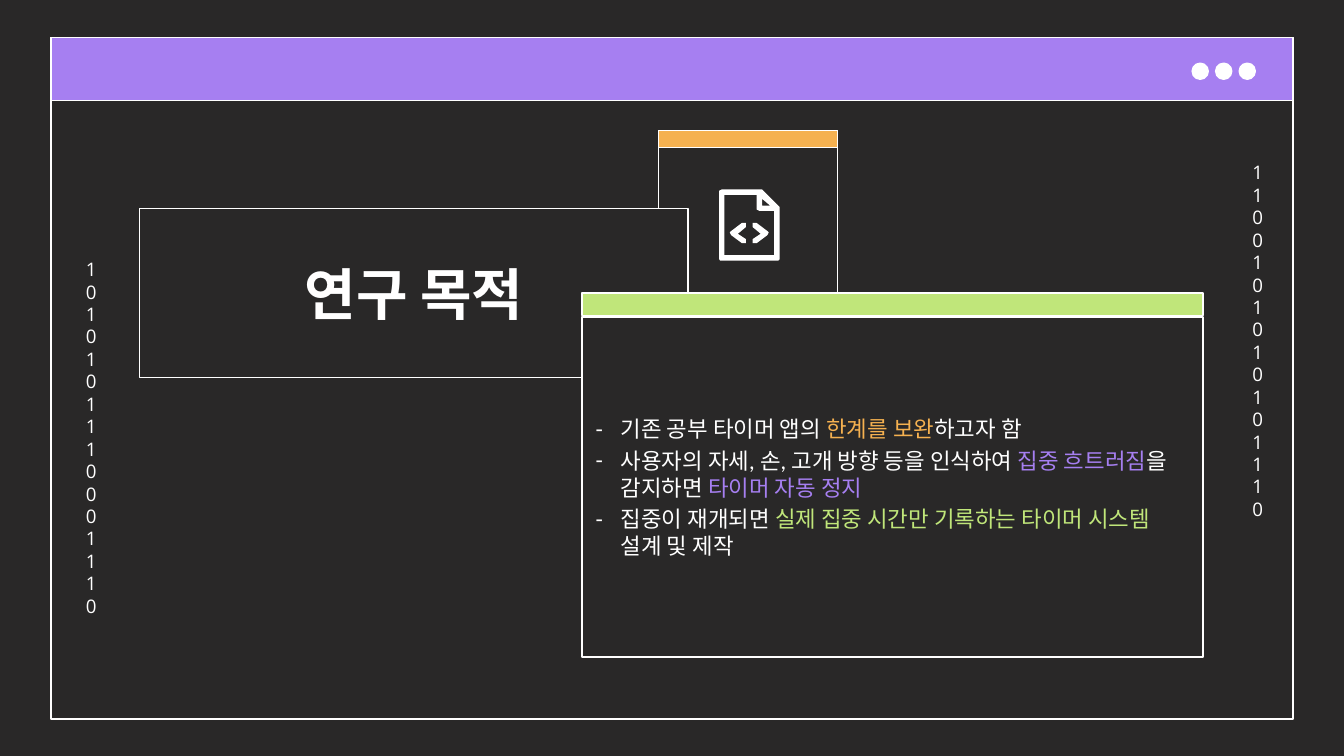
from lxml.etree import SubElement
from pptx import Presentation
from pptx.dml.color import RGBColor
from pptx.enum.shapes import MSO_SHAPE
from pptx.enum.text import MSO_ANCHOR, MSO_AUTO_SIZE, PP_ALIGN
from pptx.oxml.ns import qn
from pptx.util import Inches, Pt

DARK = RGBColor(0x29, 0x28, 0x28)
WHITE = RGBColor(0xFF, 0xFF, 0xFF)
PURPLE = RGBColor(0xA6, 0x7F, 0xF1)
ORANGE = RGBColor(0xF5, 0xB1, 0x50)
GREEN = RGBColor(0xC0, 0xE6, 0x7A)

# Square grid: 100 columns across the slide, 56.25 rows down
prs = Presentation()
prs.slide_width, prs.slide_height = Inches(10), Inches(5.625)
CELL = prs.slide_width / 100

slide = prs.slides.add_slide(prs.slide_layouts[5])
slide.background.fill.solid()
slide.background.fill.fore_color.rgb = DARK
shapes = slide.shapes


def panel(left, top, width, height, fill=DARK, kind=MSO_SHAPE.RECTANGLE):
    """Add a filled, white-outlined shape placed in grid cells."""
    shape = shapes.add_shape(kind, *(int(n * CELL) for n in (left, top, width, height)))
    shape.shadow.inherit = False
    shape.fill.solid()
    shape.fill.fore_color.rgb = fill
    shape.line.color.rgb = WHITE
    shape.line.width = Pt(0.75)
    return shape


def write(frame, paragraphs, *, size, font, align=PP_ALIGN.CENTER, bold=False,
          anchor=MSO_ANCHOR.TOP, bullet=None, gap=0):
    """Fill a frame with paragraphs, each a list of (text, colour) runs."""
    frame.word_wrap = True
    frame.auto_size = MSO_AUTO_SIZE.NONE
    frame.vertical_anchor = anchor
    frame.margin_left = frame.margin_right = Inches(0.1)
    frame.margin_top = frame.margin_bottom = Inches(0.1)
    for index, runs in enumerate(paragraphs):
        paragraph = frame.add_paragraph() if index else frame.paragraphs[0]
        paragraph.alignment = align
        if bullet:
            props = paragraph._p.get_or_add_pPr()
            props.set("marL", str(Inches(0.19)))
            props.set("indent", str(-Inches(0.19)))
            bullet_color = SubElement(props, qn("a:buClr"))
            SubElement(bullet_color, qn("a:srgbClr"), val=str(WHITE))
            SubElement(props, qn("a:buFont"), typeface=font)
            SubElement(props, qn("a:buChar"), char=bullet)
        paragraph.space_before = Pt(gap if index else 0)
        paragraph.space_after = Pt(gap)
        for text, color in runs:
            run = paragraph.add_run()
            run.text = text
            run.font.size = Pt(size)
            run.font.name = font
            run.font.bold = bold
            run.font.color.rgb = color


# Window frame with its title bar and three buttons
panel(3.8, 2.8, 92.4, 50.7)
panel(3.8, 2.8, 92.4, 4.7, PURPLE)
for button in range(3):
    panel(88.7 + 1.75 * button, 4.7, 1.2, 1.2, WHITE, MSO_SHAPE.OVAL)

# Binary columns: the narrow box wraps after every digit
for left, top, digits in ((92.2, 11, ["1100101010101110"]),
                          (5.4, 18.2, ["101010111000111", "0"])):
    column = shapes.add_textbox(*(int(n * CELL) for n in (left, top, 2.4, 28)))
    write(column.text_frame, [[(line, WHITE)] for line in digits],
          size=10, font="Open Sans")

# Small window
panel(49, 9.7, 13.3, 13.3)
panel(49, 9.7, 13.3, 1.3, ORANGE)

# Code file icon, in tenths of a cell
right_chevron = [(572, 173), (571, 175), (563, 181), (560, 181), (560, 178),
                 (566, 174), (560, 169), (560, 166), (563, 166), (571, 172)]
left_chevron = [(1115 - x, y) for x, y in right_chevron]
page = [(537, 141), (567, 141), (580, 154), (580, 193), (579, 194),
        (536, 194), (535, 193), (535, 142)]
page_inside = [(539, 145), (563, 145), (563, 156), (565, 157), (576, 157),
               (576, 190), (539, 190)]
folded_corner = [(567, 148), (573, 153), (567, 153)]
outline = shapes.build_freeform(*page[0], scale=CELL / 10)
outline.add_line_segments(page[1:], close=True)
for contour in (page_inside, folded_corner, left_chevron, right_chevron):
    outline.move_to(*contour[0])
    outline.add_line_segments(contour[1:], close=True)
icon = outline.convert_to_shape()
icon.shadow.inherit = False
icon.fill.solid()
icon.fill.fore_color.rgb = WHITE
icon.line.fill.background()

# Title, raised above the small window
title = shapes.title
shapes._spTree.append(title._element)
title.left, title.top, title.width, title.height = (
    int(n * CELL) for n in (10.4, 15.5, 40.8, 12.6))
title.fill.solid()
title.fill.fore_color.rgb = DARK
title.line.color.rgb = WHITE
title.line.width = Pt(0.75)
write(title.text_frame, [[("연구 목적", WHITE)]], size=30, font="Lato",
      bold=True, anchor=MSO_ANCHOR.MIDDLE)

# Purpose window
purposes = [
    [("기존 공부 타이머 앱의 ", WHITE), ("한계를 보완", ORANGE), ("하고자 함", WHITE)],
    [("사용자의 자세, 손, 고개 방향 등을 인식하여 ", WHITE), ("집중 흐트러짐", PURPLE),
     ("을 감지하면 ", WHITE), ("타이머 자동 정지", PURPLE)],
    [("집중이 재개되면 ", WHITE), ("실제 집중 시간만 기록하는 타이머 시스템 ", GREEN),
     ("설계 및 제작", WHITE)],
]
purpose = panel(43.3, 23.6, 46.2, 25.3)
write(purpose.text_frame, purposes, size=12, font="Lato", align=PP_ALIGN.LEFT,
      anchor=MSO_ANCHOR.MIDDLE, bullet="-", gap=1.2)
panel(43.3, 21.8, 46.2, 1.7, GREEN)

prs.save("out.pptx")
